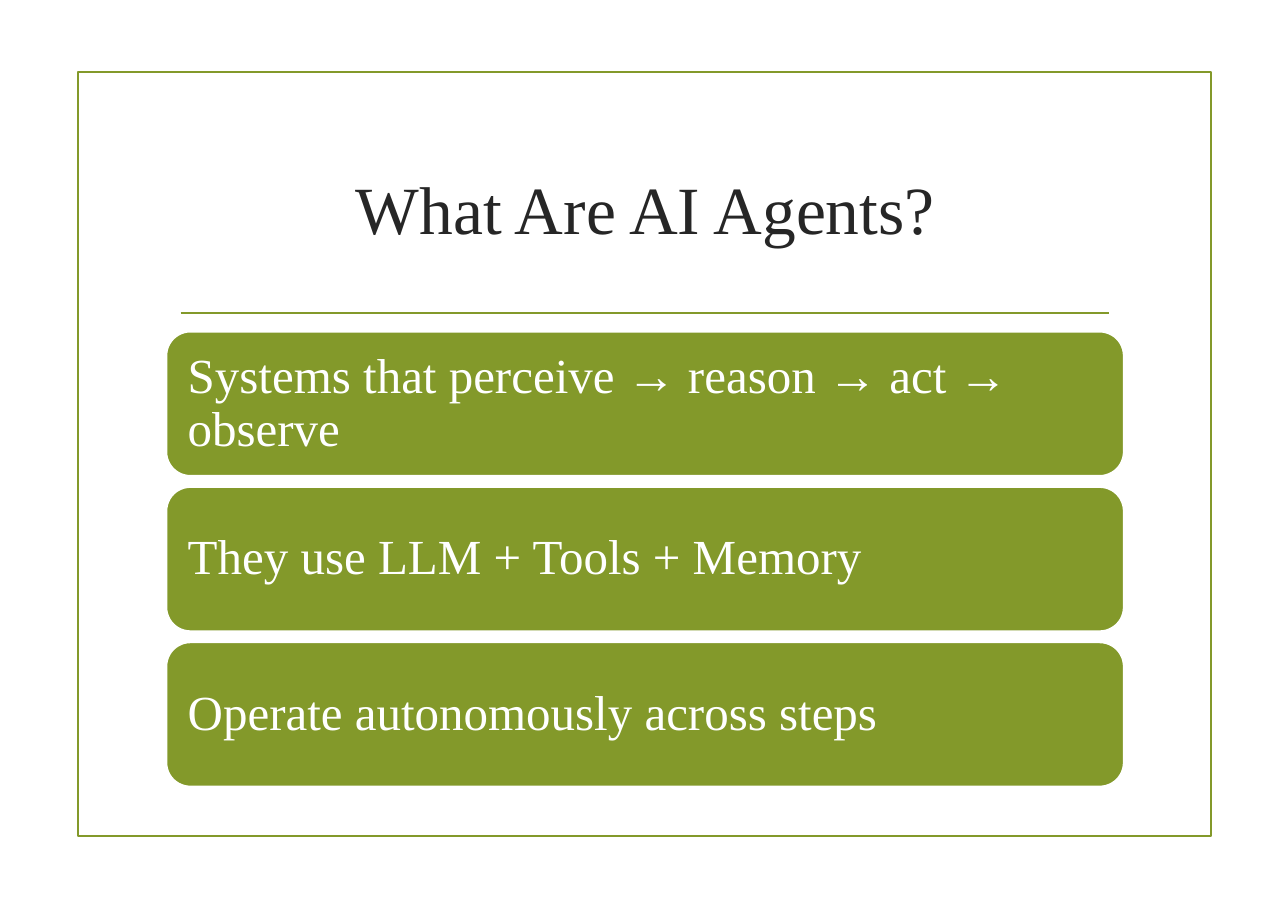
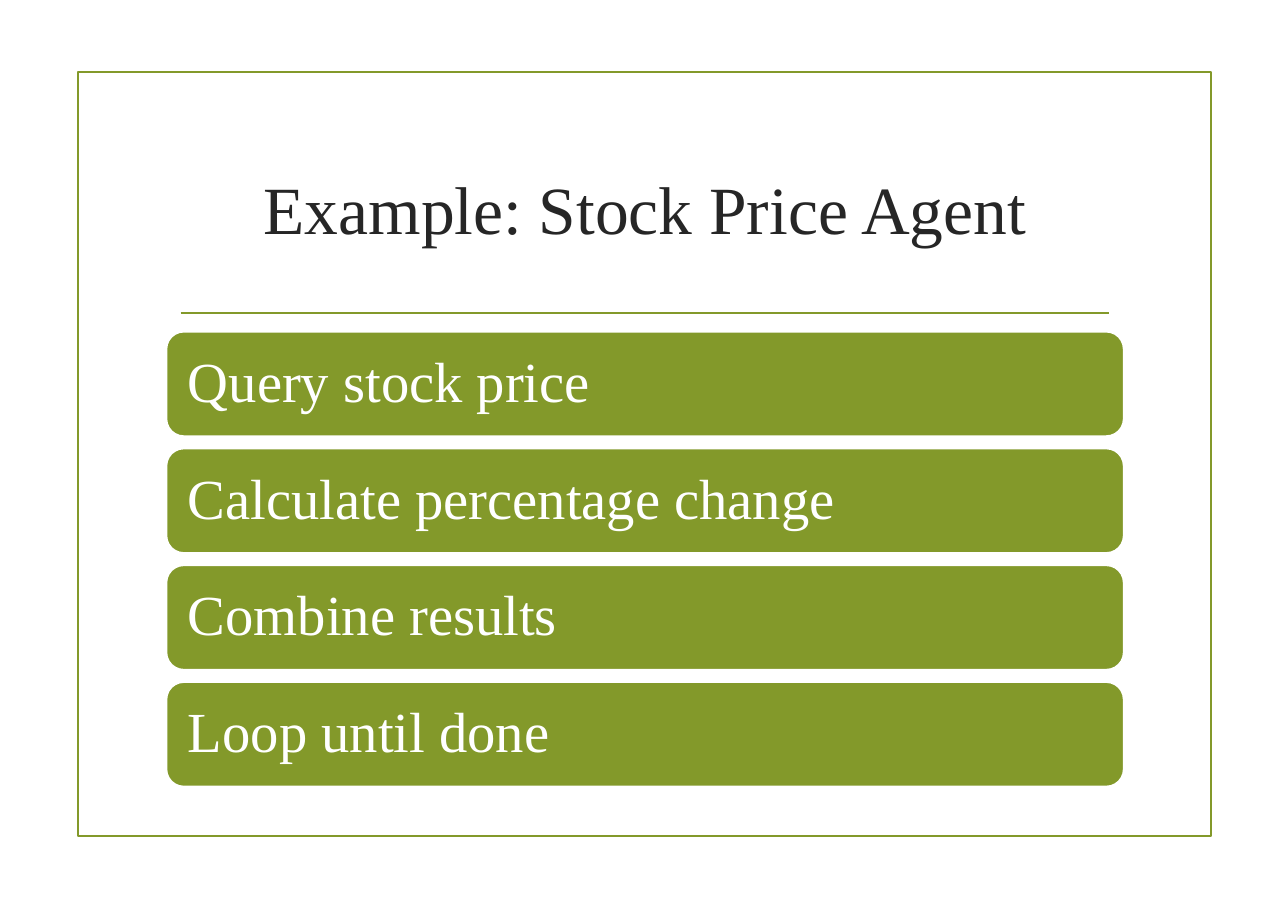
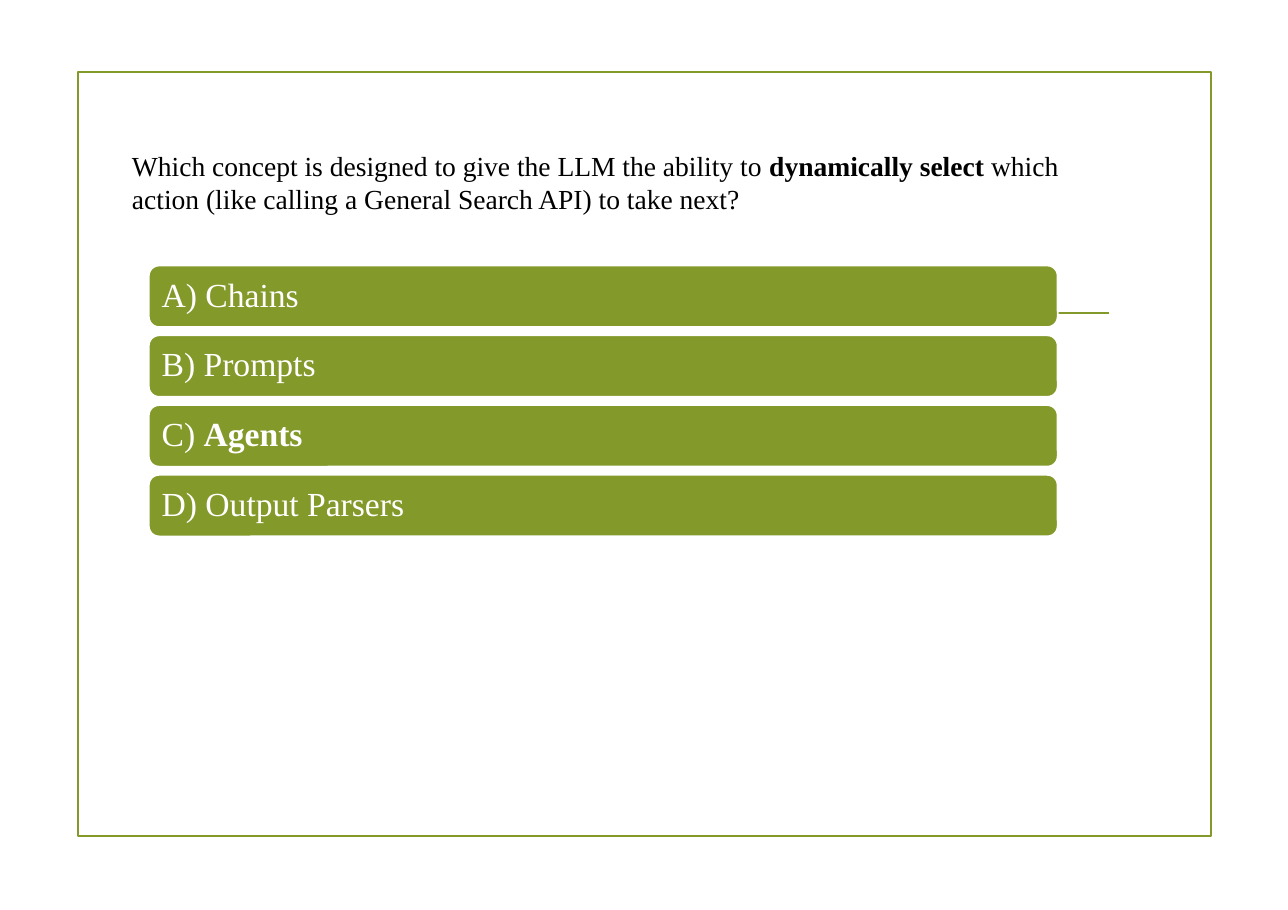
from lxml import etree
from pptx import Presentation
from pptx.dml.color import RGBColor
from pptx.enum.shapes import MSO_CONNECTOR, MSO_SHAPE
from pptx.enum.text import MSO_ANCHOR, MSO_AUTO_SIZE, PP_ALIGN
from pptx.oxml.ns import qn
from pptx.util import Inches, Pt

GREEN = RGBColor(0x83, 0x99, 0x2A)
WHITE = RGBColor(0xFF, 0xFF, 0xFF)
BLACK = RGBColor(0x00, 0x00, 0x00)
TITLE_GREY = RGBColor(0x26, 0x26, 0x26)
FONT = "Times New Roman"
LINE_WIDTH = Pt(1.25)
TITLE_ONLY, BLANK = 5, 6


def write(paragraph, text, size, color):
    """Fill a paragraph; text between ** marks is bold."""
    for index, part in enumerate(text.split("**")):
        if part:
            run = paragraph.add_run()
            run.text = part
            if index % 2:
                run.font.bold = True
    paragraph.font.name = FONT
    paragraph.font.size = Pt(size)
    paragraph.font.color.rgb = color


def add_framed_slide(presentation, layout):
    """Add a slide with the shared green frame and rule."""
    slide = presentation.slides.add_slide(presentation.slide_layouts[layout])
    frame = slide.shapes.add_shape(
        MSO_SHAPE.RECTANGLE, Inches(0.71), Inches(0.65), Inches(10.28), Inches(6.94))
    frame.shadow.inherit = False
    frame.fill.background()
    rule = slide.shapes.add_connector(
        MSO_CONNECTOR.STRAIGHT, Inches(1.64), Inches(2.84), Inches(10.07), Inches(2.84))
    etree.SubElement(rule._element.spPr, qn("a:effectLst"))
    for shape in (frame, rule):
        shape.line.color.rgb = GREEN
        shape.line.width = LINE_WIDTH
    return slide


def set_title(slide, text):
    title = slide.shapes.title
    title.left, title.top = Inches(1.51), Inches(1.1)
    title.width, title.height = Inches(8.7), Inches(1.57)
    frame = title.text_frame
    frame.auto_size = MSO_AUTO_SIZE.NONE
    frame.vertical_anchor = MSO_ANCHOR.MIDDLE
    paragraph = frame.paragraphs[0]
    paragraph.alignment = PP_ALIGN.CENTER
    write(paragraph, text, 44.1, TITLE_GREY)


def add_question(slide, text):
    box = slide.shapes.add_textbox(Inches(1.1), Inches(1.3), Inches(9), Inches(0.71))
    box.text_frame.word_wrap = True
    write(box.text_frame.paragraphs[0], text, 18, BLACK)


def add_bar(slide, text, left, top, width, height, size, inset):
    bar = slide.shapes.add_shape(
        MSO_SHAPE.ROUNDED_RECTANGLE,
        Inches(left), Inches(top), Inches(width), Inches(height))
    bar.shadow.inherit = False
    bar.fill.solid()
    bar.fill.fore_color.rgb = GREEN
    bar.line.color.rgb = WHITE
    bar.line.width = LINE_WIDTH
    frame = bar.text_frame
    frame.word_wrap = True
    frame.vertical_anchor = MSO_ANCHOR.MIDDLE
    frame.margin_left = frame.margin_right = Inches(inset)
    frame.margin_top = frame.margin_bottom = Inches(inset)
    paragraph = frame.paragraphs[0]
    paragraph.alignment = PP_ALIGN.LEFT
    paragraph.line_spacing = 0.9
    write(paragraph, text, size, WHITE)


def add_bars(slide, texts, bar_height, size, inset,
             left=1.51, top=3.01, width=8.69, bottom=7.14):
    """Stack equal bars evenly between top and bottom."""
    pitch = (bottom - top - bar_height) / (len(texts) - 1)
    for index, text in enumerate(texts):
        add_bar(slide, text, left, top + index * pitch, width, bar_height, size, inset)


def main():
    presentation = Presentation()
    presentation.slide_width = Inches(11.69)
    presentation.slide_height = Inches(8.26)

    slide = add_framed_slide(presentation, TITLE_ONLY)
    set_title(slide, "What Are AI Agents?")
    add_bars(slide, [
        "Systems that perceive → reason → act → observe",
        "They use LLM + Tools + Memory",
        "Operate autonomously across steps",
    ], bar_height=1.31, size=32, inset=0.13)

    slide = add_framed_slide(presentation, TITLE_ONLY)
    set_title(slide, "Example: Stock Price Agent")
    add_bars(slide, [
        "Query stock price",
        "Calculate percentage change",
        "Combine results",
        "Loop until done",
    ], bar_height=0.95, size=37, inset=0.15)

    slide = add_framed_slide(presentation, BLANK)
    add_question(slide, "Which concept is designed to give the LLM the ability to "
                        "**dynamically select** which action (like calling a "
                        "General Search API) to take next?")
    add_bars(slide, ["A) Chains", "B) Prompts", "C) **Agents**", "D) Output Parsers"],
             bar_height=0.56, size=22, inset=0.09,
             left=1.35, top=2.41, width=8.25, bottom=4.87)

    presentation.save("out.pptx")


if __name__ == "__main__":
    main()
